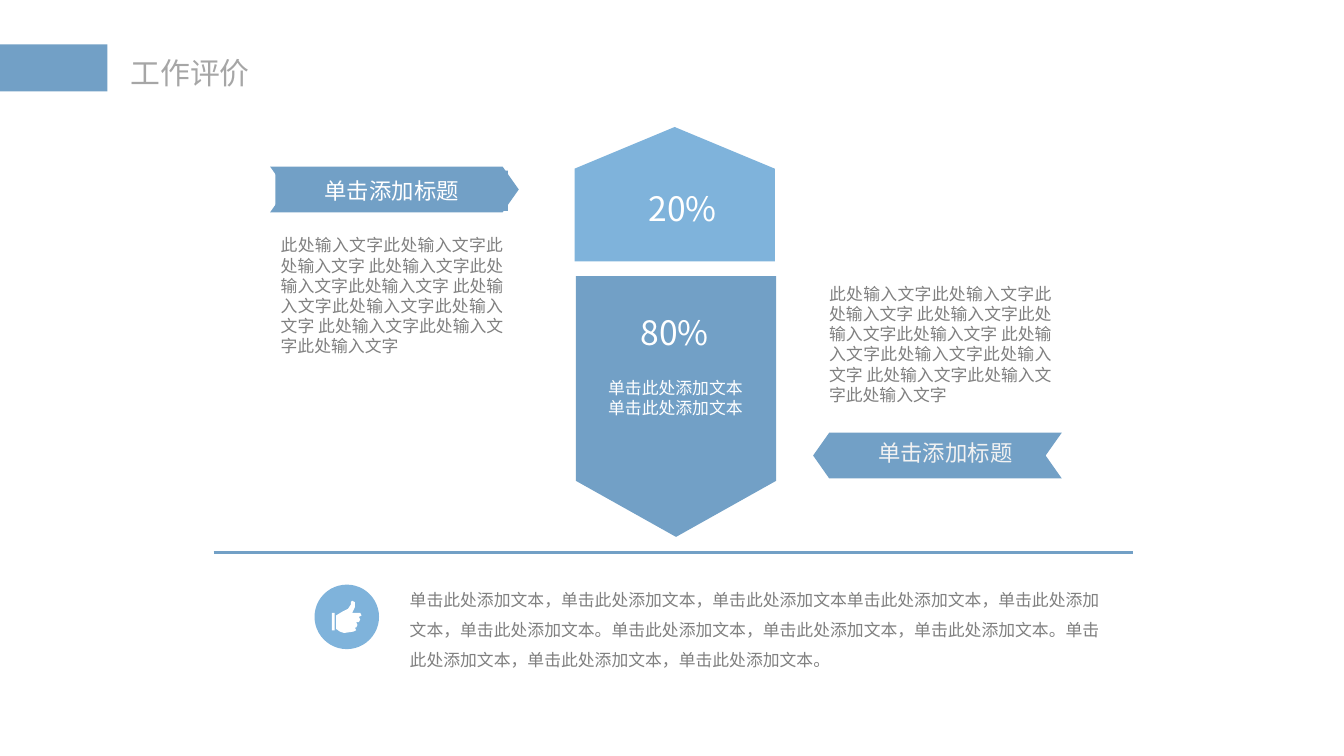
from pptx import Presentation
from pptx.dml.color import RGBColor
from pptx.enum.shapes import MSO_CONNECTOR, MSO_SHAPE
from pptx.enum.text import MSO_ANCHOR, PP_ALIGN
from pptx.oxml.ns import qn
from pptx.util import Inches, Pt
from lxml.etree import SubElement

FONT = "Noto Sans CJK SC"
DEEP, LIGHT, WHITE, GREY = "72A0C6", "7FB3DB", "FFFFFF", "808080"
LEFT, MID, JUST = PP_ALIGN.LEFT, PP_ALIGN.CENTER, PP_ALIGN.JUSTIFY

# Content
TITLE = "工作评价"
HEAD = "单击添加标题"
NOTE = "此处输入文字"
HARD = chr(160)  # non-breaking space
BODY = (NOTE * 3 + HARD) * 4
LINE = "单击此处添加文本"
FOOT = (f"{LINE}，{LINE}，{LINE}{LINE}，{LINE}，{LINE}。"
        f"{LINE}，{LINE}，{LINE}。{LINE}，{LINE}，{LINE}。")

# Text boxes: left, top, width, height, lines, size, colour, align, spacing
TEXTS = [
    (4.65, 1.35, 0.86, 0.4, ["20%"], 18, WHITE, MID, 1),
    (4.59, 2.27, 0.86, 0.4, ["80%"], 18, WHITE, MID, 1),
    (4.28, 2.76, 1.49, 0.4, [LINE, LINE], 9, WHITE, MID, 1),
    (1.99, 1.7, 1.85, 1.46, [BODY], 9, GREY, JUST, 1),
    (6.07, 2.06, 1.85, 1.46, [BODY], 9, GREY, JUST, 1),
    (2.95, 4.26, 5.42, 0.78, [FOOT], 9, GREY, LEFT, 1.5),
    (6.17, 3.22, 1.73, 0.3, [HEAD], 12, "F2F2F2", MID, 1),
]

# Outlines: the ribbon points right, the hand is a cuff and a thumb
RIBBON = [(2.01, 1.24), (3.74, 1.24), (3.86, 1.41), (3.74, 1.58),
          (2.01, 1.58), (2.13, 1.41)]
CUFF = [(2.47, 4.56), (2.49, 4.56), (2.49, 4.69), (2.47, 4.69)]
THUMB = [(2.5, 4.58), (2.55, 4.55), (2.59, 4.53), (2.61, 4.5), (2.61, 4.48),
         (2.62, 4.47), (2.64, 4.48), (2.64, 4.52), (2.62, 4.56), (2.68, 4.56),
         (2.69, 4.58), (2.67, 4.59), (2.68, 4.61), (2.67, 4.63), (2.65, 4.63),
         (2.66, 4.65), (2.65, 4.67), (2.64, 4.67), (2.65, 4.69), (2.63, 4.7),
         (2.56, 4.71), (2.53, 4.7), (2.5, 4.68)]

deck = Presentation()
deck.slide_width, deck.slide_height = Inches(10), Inches(10 * 9 / 16)
slide = deck.slides.add_slide(deck.slide_layouts[6])
shapes = slide.shapes


def color(code):
    return RGBColor.from_string(code)


def paint(shape, code):
    shape.shadow.inherit = False
    shape.fill.solid()
    shape.fill.fore_color.rgb = color(code)
    shape.line.fill.background()
    return shape


def block(kind, box, code, turn=0, adj=None):
    shape = paint(shapes.add_shape(kind, *map(Inches, box)), code)
    shape.rotation = turn
    if adj is not None:
        shape.adjustments[0] = adj
    return shape


def outline(paths, code):
    paths = [[(Inches(x), Inches(y)) for x, y in path] for path in paths]
    pen = shapes.build_freeform(*paths[0][0])
    for i, path in enumerate(paths):
        if i:
            pen.move_to(*path[0])
        pen.add_line_segments(path[1:], close=True)
    return paint(pen.convert_to_shape(), code)


def write(shape, lines, size, code, align, space=1):
    frame = shape.text_frame
    frame.word_wrap = True
    frame.vertical_anchor = MSO_ANCHOR.TOP
    for i, line in enumerate(lines):
        para = frame.add_paragraph() if i else frame.paragraphs[0]
        para.alignment = align
        para.line_spacing = space
        run = para.add_run()
        run.text = line
        run.font.size = Pt(size)
        run.font.name = FONT
        run.font.color.rgb = color(code)
        SubElement(run.font._element, qn("a:ea")).set("typeface", FONT)
    return frame


# Title mark and title
block(MSO_SHAPE.RECTANGLE, (0, 0.33, 0.8, 0.35), DEEP)
title = shapes.add_textbox(*map(Inches, (0.89, 0.37, 1.05, 0.35)))
frame = write(title, [TITLE], 16, "A6A6A6", MID)
frame.word_wrap = False
frame.margin_left = frame.margin_right = Inches(0.08)
frame.margin_top = frame.margin_bottom = Inches(0.04)

# The two arrow halves
block(MSO_SHAPE.PENTAGON, (4.52, 0.7, 1, 1.49), LIGHT, 270, 0.31)
block(MSO_SHAPE.PENTAGON, (4.06, 2.28, 1.94, 1.49), DEEP, 90, 0.28)

# Ribbons: the right one mirrors the left one, lower down
outline([RIBBON], DEEP)
outline([[(9.91 - x, y + 1.98) for x, y in RIBBON]], DEEP)
label = block(MSO_SHAPE.RECTANGLE, (2.05, 1.27, 1.73, 0.3), DEEP)
write(label, [HEAD], 12, WHITE, MID)

# Rule above the footer
rule = shapes.add_connector(MSO_CONNECTOR.STRAIGHT, Inches(1.59), Inches(4.11),
                            Inches(8.43), Inches(4.11))
rule.line.color.rgb = color(DEEP)
rule.line.width = Pt(1.5)
SubElement(rule._element.spPr, qn("a:effectLst"))

# Thumb badge
block(MSO_SHAPE.OVAL, (2.34, 4.35, 0.48, 0.48), LIGHT)
outline([CUFF, THUMB], WHITE)

# Text boxes
for *box, lines, size, code, align, space in TEXTS:
    write(shapes.add_textbox(*map(Inches, box)), lines, size, code, align, space)

deck.save("out.pptx")
